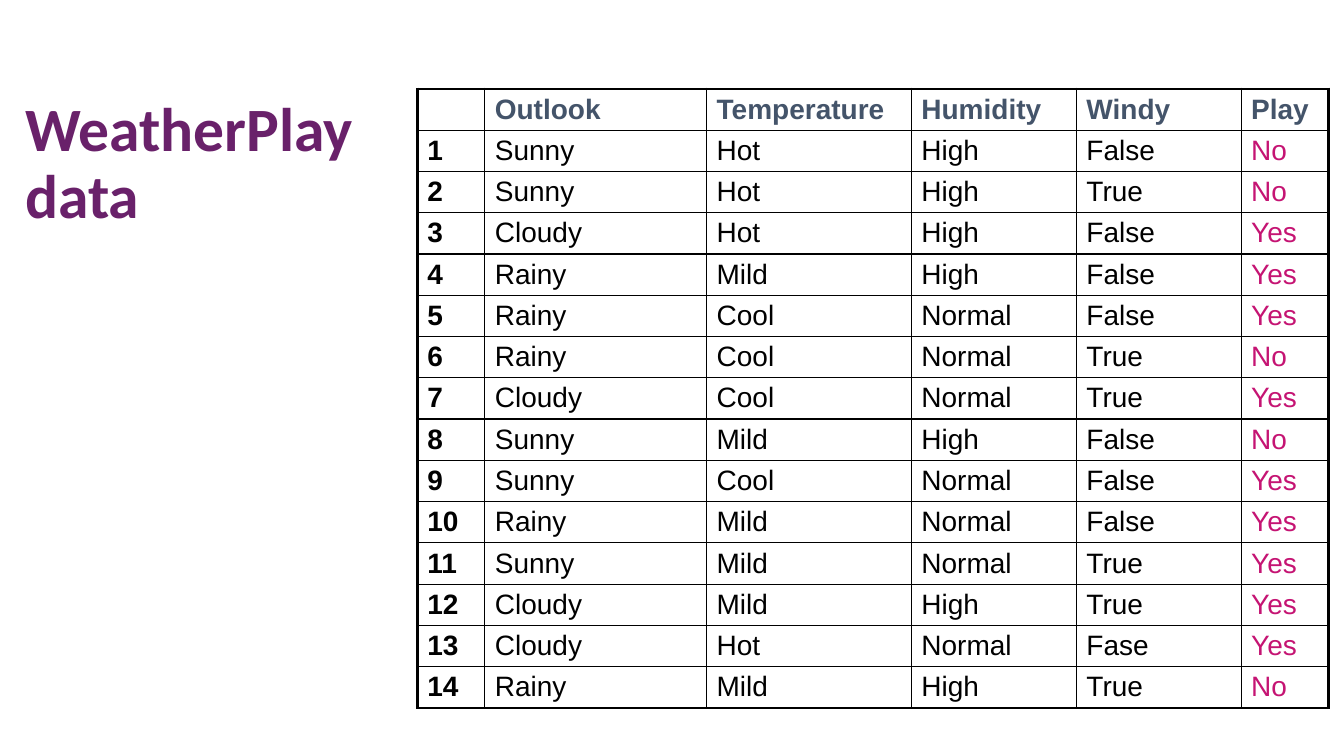
from lxml import etree
from pptx import Presentation
from pptx.dml.color import RGBColor
from pptx.enum.text import MSO_ANCHOR, PP_ALIGN
from pptx.oxml.ns import qn
from pptx.util import Cm, Pt

TOP = MSO_ANCHOR.TOP
LEFT = PP_ALIGN.LEFT
TITLE_ONLY = 5

COLORS = {
    "title": "69216A",
    "header": "44546A",
    "text": "000000",
    "play": "C51473",
    "cell": "FFFFFF",
    "border": "000000",
}
TITLE = "WeatherPlay\vdata"
HEADER = ("", "Outlook", "Temperature", "Humidity", "Windy", "Play")
DAYS = [
    ("Sunny", "Hot", "High", "False", "No"),
    ("Sunny", "Hot", "High", "True", "No"),
    ("Cloudy", "Hot", "High", "False", "Yes"),
    ("Rainy", "Mild", "High", "False", "Yes"),
    ("Rainy", "Cool", "Normal", "False", "Yes"),
    ("Rainy", "Cool", "Normal", "True", "No"),
    ("Cloudy", "Cool", "Normal", "True", "Yes"),
    ("Sunny", "Mild", "High", "False", "No"),
    ("Sunny", "Cool", "Normal", "False", "Yes"),
    ("Rainy", "Mild", "Normal", "False", "Yes"),
    ("Sunny", "Mild", "Normal", "True", "Yes"),
    ("Cloudy", "Mild", "High", "True", "Yes"),
    ("Cloudy", "Hot", "Normal", "Fase", "Yes"),
    ("Rainy", "Mild", "High", "True", "No"),
]
COLUMN_WIDTHS = (1.7, 5.59, 5.16, 4.16, 4.15, 2.2)
ROW_HEIGHT = 1.04
TABLE_LEFT, TABLE_TOP = 10.52, 2.24
INNER_LINE, OUTER_LINE = 1, 2.25

TITLE_BOX = {"left": Cm(0.38), "top": Cm(2.36), "width": Cm(9.02), "height": Cm(8.08)}
TITLE_FONT = {"name": "Calibri", "size": Pt(44), "bold": True}
CELL_FONT = {"name": "Arial", "size": Pt(20)}
CELL_FORMAT = {
    "margin_left": Cm(0.25),
    "margin_right": Cm(0.25),
    "margin_top": Cm(0.12),
    "margin_bottom": Cm(0.1),
    "vertical_anchor": TOP,
}


def apply(target, values):
    for name, value in values.items():
        setattr(target, name, value)


def format_font(font, values, color):
    apply(font, values)
    font.color.rgb = RGBColor.from_string(COLORS[color])


def add_borders(cell, widths):
    properties = cell._tc.get_or_add_tcPr()
    for side, width in widths.items():
        line = etree.SubElement(properties, qn("a:ln" + side), w=str(Pt(width)))
        fill = etree.SubElement(line, qn("a:solidFill"))
        etree.SubElement(fill, qn("a:srgbClr"), val=COLORS["border"])


def add_title(slide):
    title = slide.shapes.title
    apply(title, TITLE_BOX)
    frame = title.text_frame
    apply(frame, {"word_wrap": True, "vertical_anchor": TOP})
    frame.text = TITLE
    paragraph = frame.paragraphs[0]
    apply(paragraph, {"alignment": LEFT, "line_spacing": 0.9})
    for run in paragraph.runs:
        format_font(run.font, TITLE_FONT, "title")


def add_weather_table(slide):
    rows = [HEADER] + [(str(number), *day) for number, day in enumerate(DAYS, 1)]
    last_row, last_column = len(rows) - 1, len(HEADER) - 1
    table = slide.shapes.add_table(
        len(rows), len(HEADER), Cm(TABLE_LEFT), Cm(TABLE_TOP),
        Cm(sum(COLUMN_WIDTHS)), Cm(ROW_HEIGHT * len(rows))).table
    apply(table, {"first_row": False, "horz_banding": False})
    for column, width in zip(table.columns, COLUMN_WIDTHS):
        column.width = Cm(width)
    for row_index, values in enumerate(rows):
        table.rows[row_index].height = Cm(ROW_HEIGHT)
        for column_index, value in enumerate(values):
            cell = table.cell(row_index, column_index)
            on_edge = {
                "L": column_index == 0,
                "R": column_index == last_column,
                "T": row_index == 0,
                "B": row_index == last_row,
            }
            add_borders(cell, {side: OUTER_LINE if edge else INNER_LINE
                               for side, edge in on_edge.items()})
            cell.fill.solid()
            cell.fill.fore_color.rgb = RGBColor.from_string(COLORS["cell"])
            apply(cell, CELL_FORMAT)
            cell.text = value
            color = "header" if on_edge["T"] else "play" if on_edge["R"] else "text"
            paragraph = cell.text_frame.paragraphs[0]
            format_font(paragraph.font, CELL_FONT, color)
            for run in paragraph.runs:
                format_font(run.font, CELL_FONT, color)
                run.font.bold = on_edge["T"] or on_edge["L"]


def main():
    presentation = Presentation()
    apply(presentation, {"slide_width": Cm(33.87), "slide_height": Cm(19.05)})
    slide = presentation.slides.add_slide(presentation.slide_layouts[TITLE_ONLY])
    add_weather_table(slide)
    add_title(slide)
    presentation.save("out.pptx")


if __name__ == "__main__":
    main()
